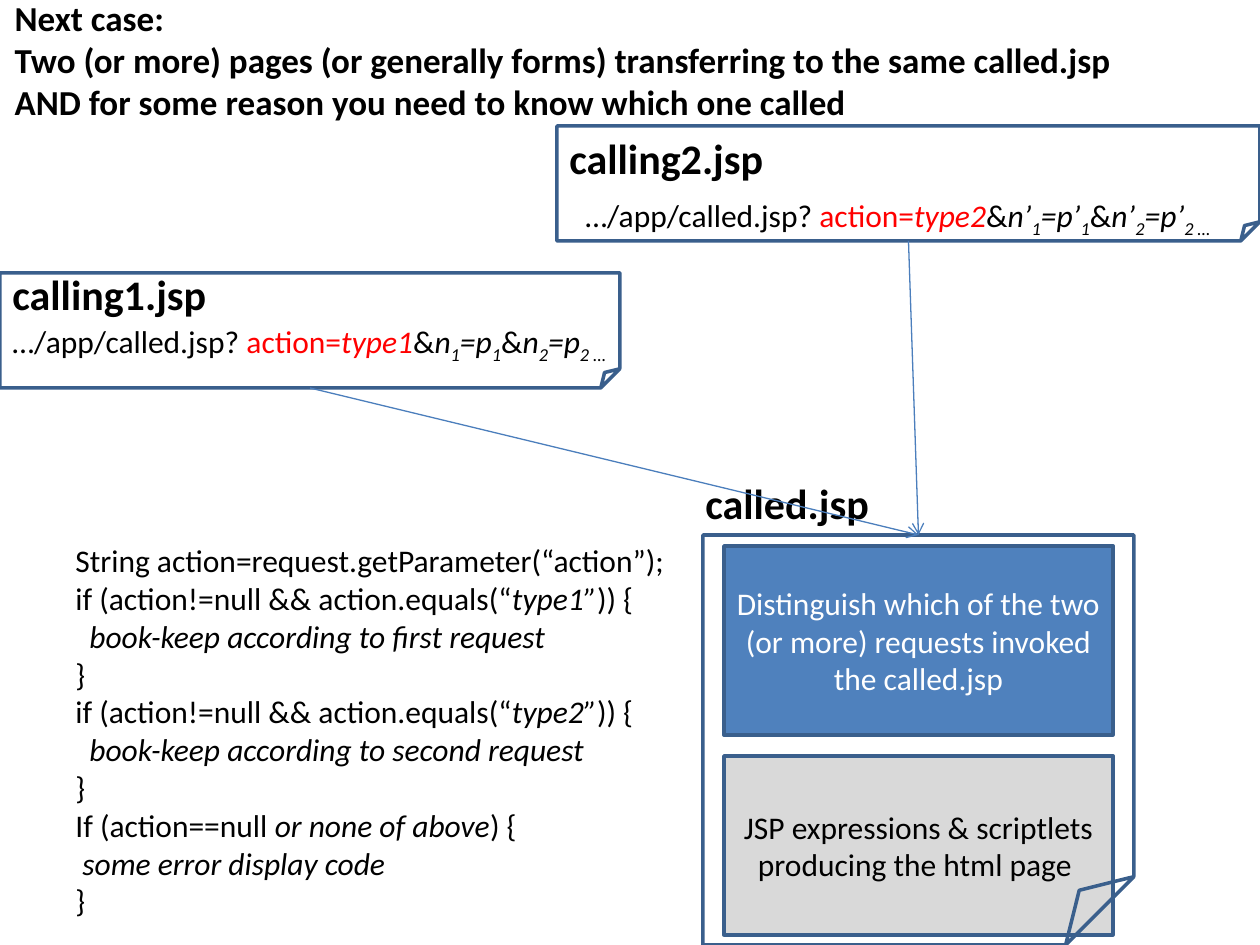
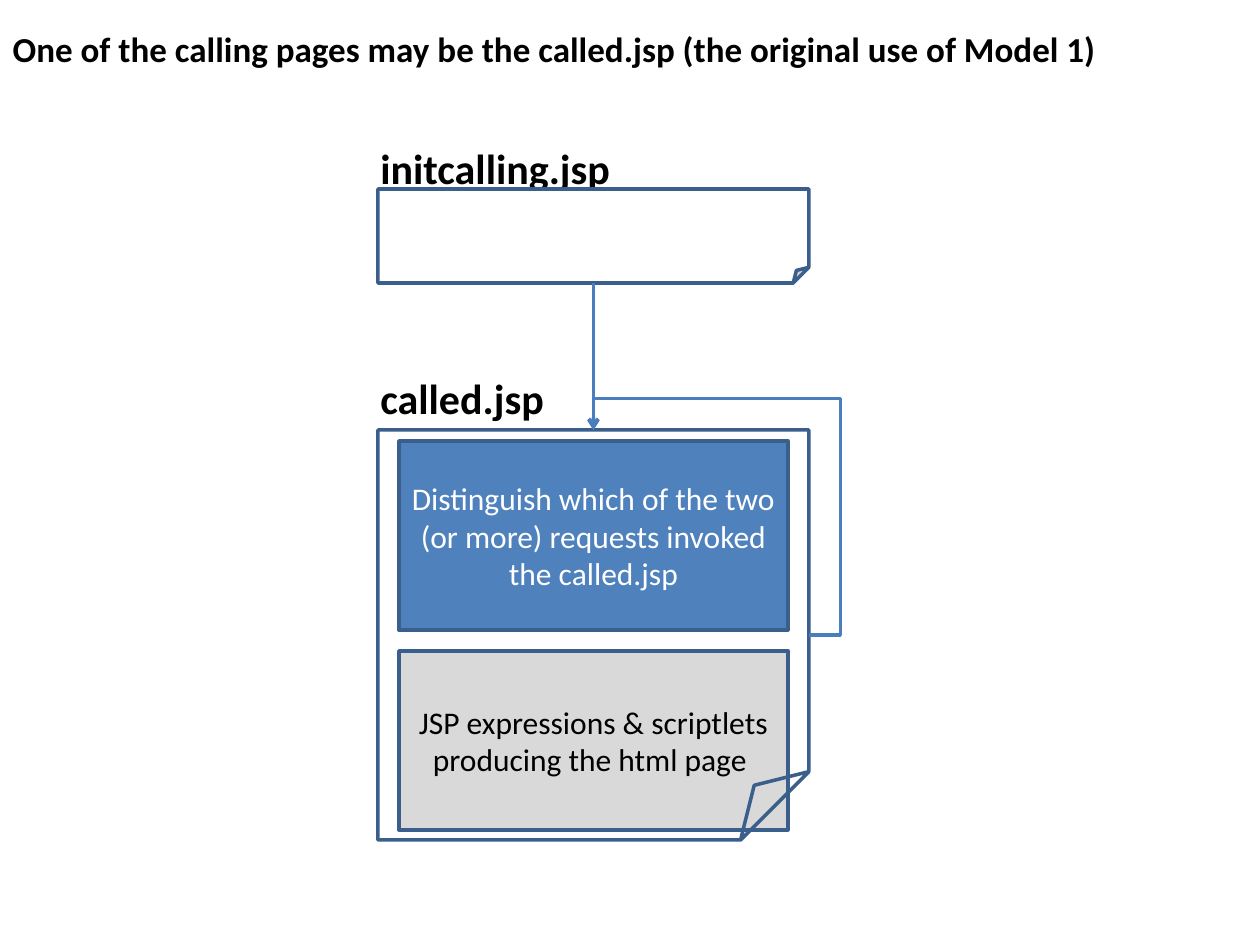
from dataclasses import dataclass
from typing import Optional

from lxml.etree import SubElement
from pptx import Presentation
from pptx.dml.color import RGBColor
from pptx.enum.shapes import MSO_CONNECTOR, MSO_SHAPE
from pptx.enum.text import MSO_ANCHOR, MSO_AUTO_SIZE, PP_ALIGN
from pptx.oxml.ns import qn
from pptx.util import Emu, Pt

PX = 914400 / 126
FONT = "Calibri"
COLORS = {"black": "000000", "white": "FFFFFF", "red": "FF0000", "blue": "4F81BD",
          "gray": "D9D9D9", "border": "3A5F8C", "arrow": "4B7EBC"}
TITLE_PT, LABEL_PT, BODY_PT = 20, 24, 18
TOP, BOTTOM, RIGHT = 0, 2, 3


@dataclass
class Box:
    x: int
    y: int
    w: int
    h: int

    def emu(self) -> list[Emu]:
        return [px(v) for v in (self.x, self.y, self.w, self.h)]


@dataclass
class Span:
    text: str
    italic: bool = False
    sub: bool = False
    color: str = "black"


@dataclass
class Line:
    spans: list[Span]
    indent: int = 0


@dataclass
class Step:
    text: str
    dy: int
    h: int
    fill: str
    color: str


STEPS = [
    Step("Distinguish which of the two (or more) requests invoked the called.jsp",
         11, 189, "blue", "white"),
    Step("JSP expressions & scriptlets producing the html page ",
         221, 179, "gray", "black"),
]


def px(v: float) -> Emu:
    return Emu(round(v * PX))


def rgb(name: str) -> RGBColor:
    return RGBColor.from_string(COLORS[name])


def style_run(r, size: int, color: str = "black", bold: bool = False) -> None:
    r.font.name = FONT
    r.font.size = Pt(size)
    r.font.bold = bold
    r.font.color.rgb = rgb(color)


def set_title(s, box: Box, text: str) -> None:
    sp = s.shapes.title
    sp.left, sp.top, sp.width, sp.height = box.emu()
    tf = sp.text_frame
    tf.text = text
    tf.word_wrap = False
    tf.auto_size = MSO_AUTO_SIZE.NONE
    tf.vertical_anchor = MSO_ANCHOR.TOP
    for p in tf.paragraphs:
        p.alignment = PP_ALIGN.LEFT
        for r in p.runs:
            style_run(r, TITLE_PT, bold=True)


def add_text(s, box: Box, lines: list[Line], size: int, bold: bool = False) -> None:
    tf = s.shapes.add_textbox(*box.emu()).text_frame
    tf.word_wrap = False
    for i, line in enumerate(lines):
        p = tf.add_paragraph() if i else tf.paragraphs[0]
        if line.indent:
            p._p.get_or_add_pPr().set("marL", str(px(line.indent)))
        for span in line.spans:
            r = p.add_run()
            r.text = span.text
            style_run(r, size, span.color, bold)
            r.font.italic = span.italic
            if span.sub:
                r._r.get_or_add_rPr().set("baseline", "-25000")


def add_label(s, x: int, y: int, w: int, text: str) -> None:
    add_text(s, Box(x, y, w, 64), [Line([Span(text)])], LABEL_PT, True)


def add_outlined(s, kind: MSO_SHAPE, box: Box, fill: Optional[str] = None):
    sp = s.shapes.add_shape(kind, *box.emu())
    sp.shadow.inherit = False
    if fill:
        sp.fill.solid()
        sp.fill.fore_color.rgb = rgb(fill)
    else:
        sp.fill.background()
    sp.line.color.rgb = rgb("border")
    sp.line.width = Pt(2)
    return sp


def add_page(s, box: Box, fill: Optional[str] = None):
    return add_outlined(s, MSO_SHAPE.FOLDED_CORNER, box, fill)


def add_called_page(s, x: int, y: int):
    for step in STEPS:
        sp = add_outlined(s, MSO_SHAPE.RECTANGLE,
                          Box(x + 21, y + step.dy, 389, step.h), step.fill)
        tf = sp.text_frame
        tf.text = step.text
        tf.word_wrap = True
        tf.vertical_anchor = MSO_ANCHOR.MIDDLE
        p = tf.paragraphs[0]
        p.alignment = PP_ALIGN.CENTER
        style_run(p.runs[0], BODY_PT, step.color)
    add_label(s, x - 10, y - 64, 190, "called.jsp")
    return add_page(s, Box(x, y, 431, 410))


def add_arrow(s, source, site: int, target, width: float,
              kind: MSO_CONNECTOR = MSO_CONNECTOR.STRAIGHT):
    c = s.shapes.add_connector(kind, 0, 0, 0, 0)
    c.begin_connect(source, site)
    c.end_connect(target, TOP)
    c.line.color.rgb = rgb("arrow")
    c.line.width = Pt(width)
    SubElement(c.line._get_or_add_ln(), qn("a:tailEnd"), type="arrow")
    SubElement(c._element.spPr, qn("a:effectLst"))
    return c


def add_loop(s, page, width: float) -> None:
    c = add_arrow(s, page, RIGHT, page, width, MSO_CONNECTOR.ELBOW)
    geom = c._element.spPr.find(qn("a:prstGeom"))
    geom.set("prst", "bentConnector4")
    guides = geom.find(qn("a:avLst"))
    for name, value in (("adj1", -14600), ("adj2", 115400)):
        SubElement(guides, qn("a:gd"), name=name, fmla=f"val {value}")


def request_line(action: str, mark: str = "") -> Line:
    spans = [Span("…/app/called.jsp? "), Span("action=", color="red"),
             Span(action, italic=True, color="red")]
    for number, tail in (("1", "1"), ("2", "2 …")):
        spans += [Span("&"), Span("n" + mark, True), Span(number, True, True),
                  Span("=p" + mark, True), Span(tail, True, True)]
    return Line(spans)


def branch(condition: list[Span], body: str, indent: int) -> list[Line]:
    return [Line(condition), Line([Span(body, True)], indent), Line([Span("}")])]


def action_branch(action: str, order: str) -> list[Line]:
    condition = [Span("if (action!=null && action.equals(“"),
                 Span(action + "”", True), Span(")) {")]
    return branch(condition, f"book-keep according to {order} request", 14)


def build_two_callers(prs) -> None:
    s = prs.slides.add_slide(prs.slide_layouts[5])
    set_title(s, Box(2, -10, 1133, 140),
              "Next case:\n"
              "Two (or more) pages (or generally forms) transferring to the same called.jsp\n"
              "AND for some reason you need to know which one called")
    called = add_called_page(s, 703, 535)
    calling1 = add_page(s, Box(0, 273, 620, 115))
    calling2 = add_page(s, Box(557, 126, 703, 115))
    for page in (calling1, calling2):
        add_arrow(s, page, BOTTOM, called, 0.75)
    add_label(s, 0, 262, 222, "calling1.jsp")
    add_label(s, 557, 126, 222, "calling2.jsp")
    add_text(s, Box(0, 316, 634, 50), [request_line("type1")], BODY_PT)
    add_text(s, Box(573, 190, 670, 50), [request_line("type2", "’")], BODY_PT)
    code = [Line([Span("String action=request.getParameter(“action”);")])]
    code += action_branch("type1", "first") + action_branch("type2", "second")
    code += branch([Span("If (action==null "), Span("or none of above", True), Span(") {")],
                   "some error display code", 7)
    add_text(s, Box(63, 535, 621, 394), code, BODY_PT)


def build_self_caller(prs) -> None:
    s = prs.slides.add_slide(prs.slide_layouts[5])
    set_title(s, Box(0, 21, 1118, 55),
              "One of the calling pages may be the called.jsp (the original use of Model 1)")
    called = add_called_page(s, 378, 430)
    add_label(s, 368, 136, 257, "initcalling.jsp")
    initial = add_page(s, Box(378, 189, 431, 94), "white")
    add_arrow(s, initial, BOTTOM, called, 2)
    add_loop(s, called, 2)


prs = Presentation()
prs.slide_width, prs.slide_height = px(1260), px(945)
build_two_callers(prs)
build_self_caller(prs)
prs.save("out.pptx")
